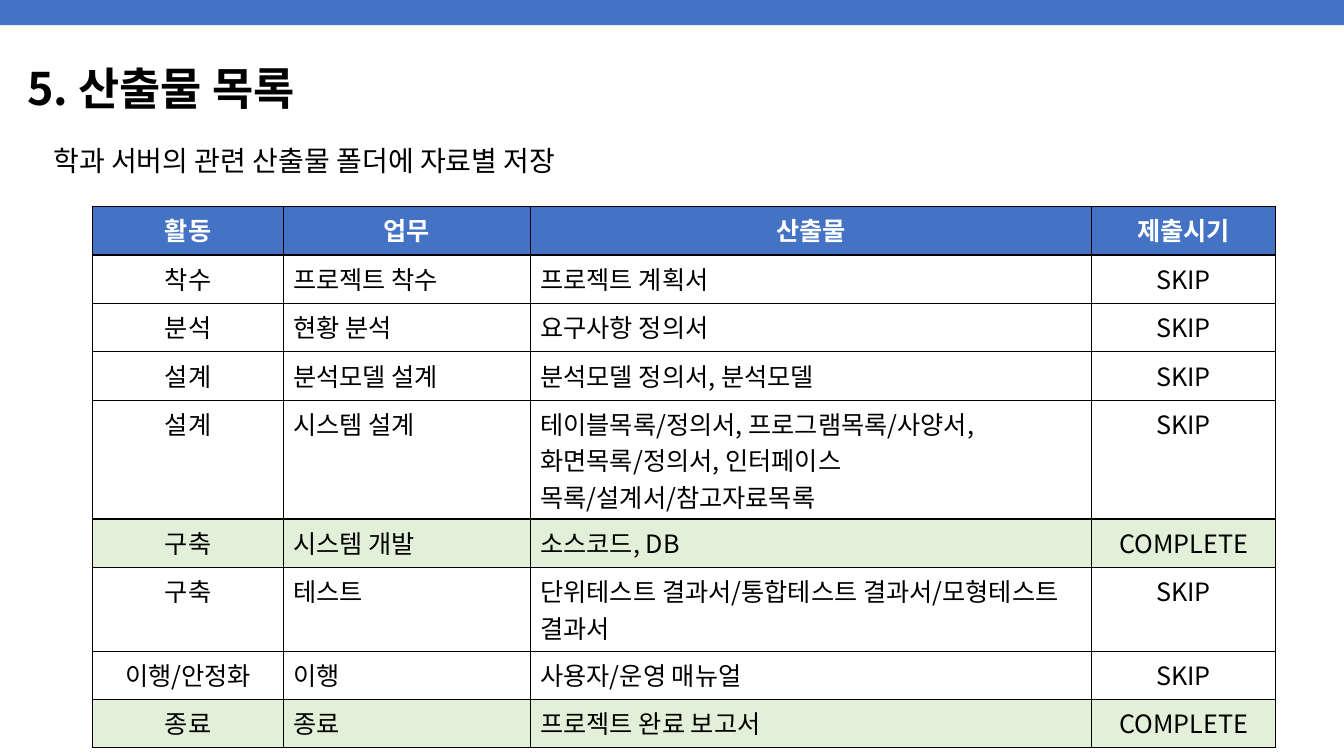
from lxml.etree import SubElement
from pptx import Presentation
from pptx.dml.color import RGBColor
from pptx.enum.shapes import MSO_SHAPE
from pptx.enum.text import MSO_ANCHOR, PP_ALIGN
from pptx.oxml.ns import qn
from pptx.util import Inches, Pt

FONT = "Noto Sans CJK KR"
BLUE = RGBColor(0x44, 0x72, 0xC4)
GREEN = RGBColor(0xE2, 0xF0, 0xD9)
BLACK = RGBColor(0, 0, 0)
WHITE = RGBColor(255, 255, 255)

COLUMN_WIDTHS = [1.89, 2.45, 5.57, 1.82]
CENTERED_COLUMNS = (0, 3)
ROW_HEIGHT = 0.48
EXTRA_LINE_HEIGHT = 0.35
EXTRA_LINES = {"시스템 설계": 2, "테스트": 1}
DONE = "COMPLETE"
ROWS = [
    ("활동", "업무", "산출물", "제출시기"),
    ("착수", "프로젝트 착수", "프로젝트 계획서", "SKIP"),
    ("분석", "현황 분석", "요구사항 정의서", "SKIP"),
    ("설계", "분석모델 설계", "분석모델 정의서, 분석모델", "SKIP"),
    ("설계", "시스템 설계",
     "테이블목록/정의서, 프로그램목록/사양서, 화면목록/정의서, "
     "인터페이스 목록/설계서/참고자료목록", "SKIP"),
    ("구축", "시스템 개발", "소스코드, DB", DONE),
    ("구축", "테스트", "단위테스트 결과서/통합테스트 결과서/모형테스트 결과서", "SKIP"),
    ("이행/안정화", "이행", "사용자/운영 매뉴얼", "SKIP"),
    ("종료", "종료", "프로젝트 완료 보고서", DONE),
]


def write(para, text, size, color=BLACK, bold=False):
    """Fill a paragraph with text in the slide font, Korean glyphs included."""
    para.text = text
    font = para.font
    font.name, font.size, font.bold = FONT, Pt(size), bold
    font.color.rgb = color
    SubElement(font._element, qn("a:ea"), typeface=FONT)


def add_bar(page, width):
    """Draw the blue bar across the top."""
    bar = page.shapes.add_shape(MSO_SHAPE.RECTANGLE, 0, 0, width, Inches(0.25))
    bar.shadow.inherit = False
    bar.fill.solid()
    bar.fill.fore_color.rgb = BLUE
    bar.line.fill.background()


def add_text(page, place, text, size, bold=False, anchor=MSO_ANCHOR.TOP):
    """Add a wrapped line of text and return its paragraph."""
    box = page.shapes.add_textbox(*map(Inches, place))
    box.text_frame.word_wrap = True
    box.text_frame.vertical_anchor = anchor
    para = box.text_frame.paragraphs[0]
    para.line_spacing = 0.9
    write(para, text, size, bold=bold)
    return para


def add_borders(cell):
    """Put a thin black line on each side of a cell."""
    properties = cell._tc.get_or_add_tcPr()
    for index, side in enumerate(("a:lnL", "a:lnR", "a:lnT", "a:lnB")):
        line = properties.makeelement(qn(side), {"w": str(Pt(1))})
        fill = SubElement(line, qn("a:solidFill"))
        SubElement(fill, qn("a:srgbClr"), val=str(BLACK))
        properties.insert(index, line)


def paint(cell, color):
    """Fill a cell with a colour, or leave it clear."""
    if color is None:
        cell.fill.background()
    else:
        cell.fill.solid()
        cell.fill.fore_color.rgb = color


def row_height(row):
    """Return the height in inches that the wrapped text of a row needs."""
    return ROW_HEIGHT + EXTRA_LINE_HEIGHT * EXTRA_LINES.get(row[1], 0)


def add_deliverables(page):
    """Add the table of deliverables, with finished rows in green."""
    table = page.shapes.add_table(
        len(ROWS), len(COLUMN_WIDTHS), Inches(0.92), Inches(2.05),
        Inches(sum(COLUMN_WIDTHS)), Inches(sum(map(row_height, ROWS)))).table
    table.horz_banding = False
    for column, width in zip(table.columns, COLUMN_WIDTHS):
        column.width = Inches(width)
    for r, row in enumerate(ROWS):
        header = r == 0
        table.rows[r].height = Inches(row_height(row))
        color = BLUE if header else GREEN if row[-1] == DONE else None
        for c, text in enumerate(row):
            cell = table.cell(r, c)
            para = cell.text_frame.paragraphs[0]
            write(para, text, 18, WHITE if header else BLACK, header)
            if header or c in CENTERED_COLUMNS:
                para.alignment = PP_ALIGN.CENTER
            paint(cell, color)
            add_borders(cell)


def main():
    """Build the slide and save it."""
    deck = Presentation()
    deck.slide_width, deck.slide_height = Inches(13.33), Inches(7.5)
    page = deck.slides.add_slide(deck.slide_layouts[6])
    add_bar(page, deck.slide_width)
    add_text(page, (0.17, 0.46, 12.93, 0.89), "5. 산출물 목록", 32, True,
             MSO_ANCHOR.MIDDLE)
    add_deliverables(page)
    subtitle = add_text(page, (0.43, 1.41, 12.41, 0.65),
                        "학과 서버의 관련 산출물 폴더에 자료별 저장", 20)
    subtitle.space_before = Pt(10)
    deck.save("out.pptx")


if __name__ == "__main__":
    main()
